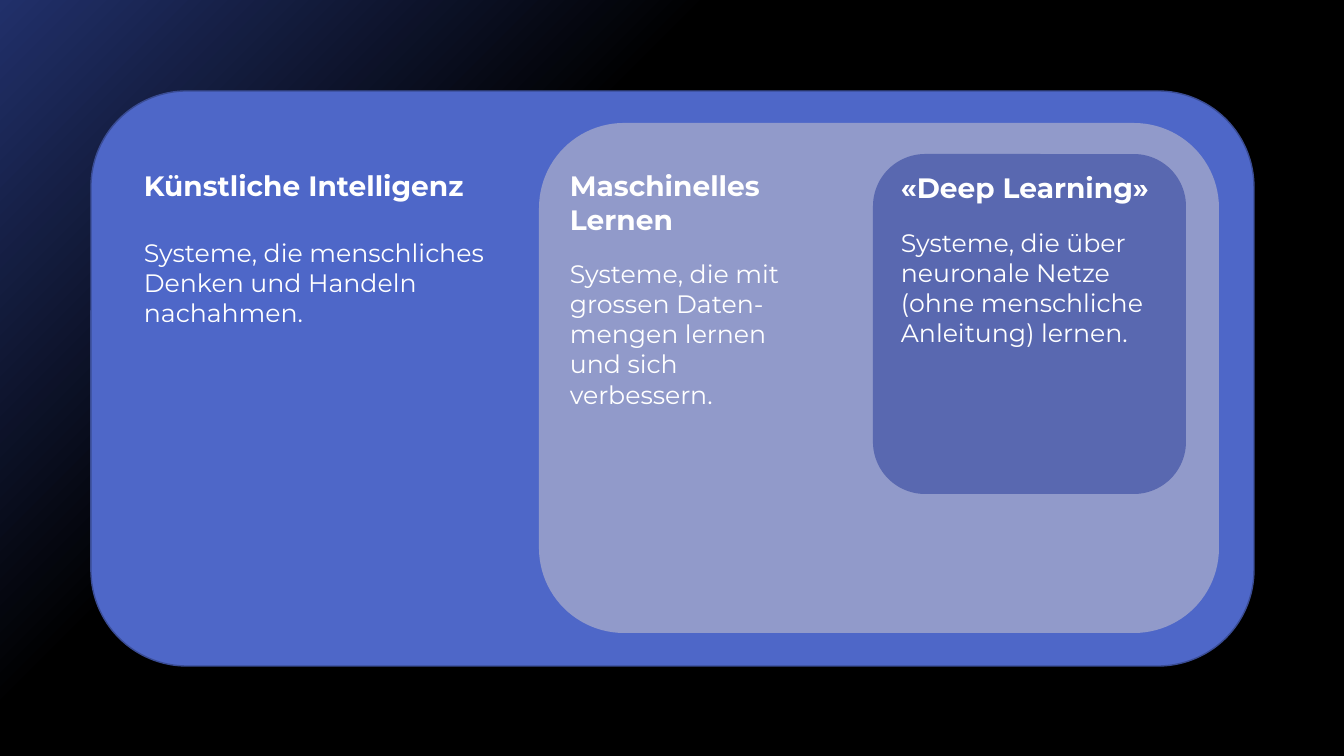
import dataclasses

import pptx
import pptx.dml.color
import pptx.enum.shapes
import pptx.enum.text
import pptx.util

SCALE = 12192000 / 1344


@dataclasses.dataclass(frozen=True)
class Theme:
    font: str = "Montserrat"
    text: str = "FFFFFF"
    glow: str = "21306A"
    dark: str = "000000"
    edge: str = "3A4C94"
    outer: str = "4E67C8"
    middle: str = "919ACA"
    inner: str = "5968B0"
    head: int = 20
    body: int = 18


THEME = Theme()


def px(count):
    return pptx.util.Emu(round(count * SCALE))


def color(code):
    return pptx.dml.color.RGBColor.from_string(code)


def backdrop(slide):
    fill = slide.background.fill
    fill.gradient()
    fill.gradient_angle = 315
    stops = ((0, THEME.glow), (0.34, THEME.dark))
    for stop, (place, code) in zip(fill.gradient_stops, stops):
        stop.position = place
        stop.color.rgb = color(code)


def panel(slide, box, code, edge=None):
    kind = pptx.enum.shapes.MSO_SHAPE.ROUNDED_RECTANGLE
    shape = slide.shapes.add_shape(kind, *map(px, box))
    shape.shadow.inherit = False
    shape.fill.solid()
    shape.fill.fore_color.rgb = color(code)
    if edge:
        shape.line.color.rgb = color(edge)
        shape.line.width = pptx.util.Pt(1)
    else:
        shape.line.fill.background()


def label(slide, box, words, size, bold=False):
    frame = slide.shapes.add_textbox(*map(px, box)).text_frame
    frame.word_wrap = True
    frame.auto_size = pptx.enum.text.MSO_AUTO_SIZE.SHAPE_TO_FIT_TEXT
    frame.text = words
    for para in frame.paragraphs:
        for run in para.runs:
            run.font.name = THEME.font
            run.font.size = pptx.util.Pt(size)
            run.font.bold = bold
            run.font.color.rgb = color(THEME.text)


def field(slide, box, code, inset, head, body, gap, area, edge=None):
    panel(slide, box, code, edge)
    left, top = box[0] + inset[0], box[1] + inset[1]
    tall = 44 + 33 * head.count("\n")
    label(slide, (left, top, 372, tall), head, THEME.head, True)
    label(slide, (left, top + tall + gap, *area), body, THEME.body)


def main():
    deck = pptx.Presentation()
    deck.slide_width, deck.slide_height = px(1344), px(756)
    slide = deck.slides.add_slide(deck.slide_layouts[6])
    backdrop(slide)
    field(slide, (91, 91, 1163, 575), THEME.outer, (43, 73),
          "Künstliche Intelligenz",
          "Systeme, die menschliches Denken und Handeln nachahmen.",
          24, (372, 102), THEME.edge)
    field(slide, (539, 123, 680, 510), THEME.middle, (21, 41),
          "Maschinelles\nLernen",
          "Systeme, die mit grossen Daten-mengen lernen und sich verbessern.",
          12, (247, 163))
    field(slide, (873, 154, 313, 340), THEME.inner, (18, 12),
          "«Deep Learning»",
          "Systeme, die über neuronale Netze (ohne menschliche Anleitung) lernen.",
          12, (274, 132))
    deck.save("out.pptx")


if __name__ == "__main__":
    main()
